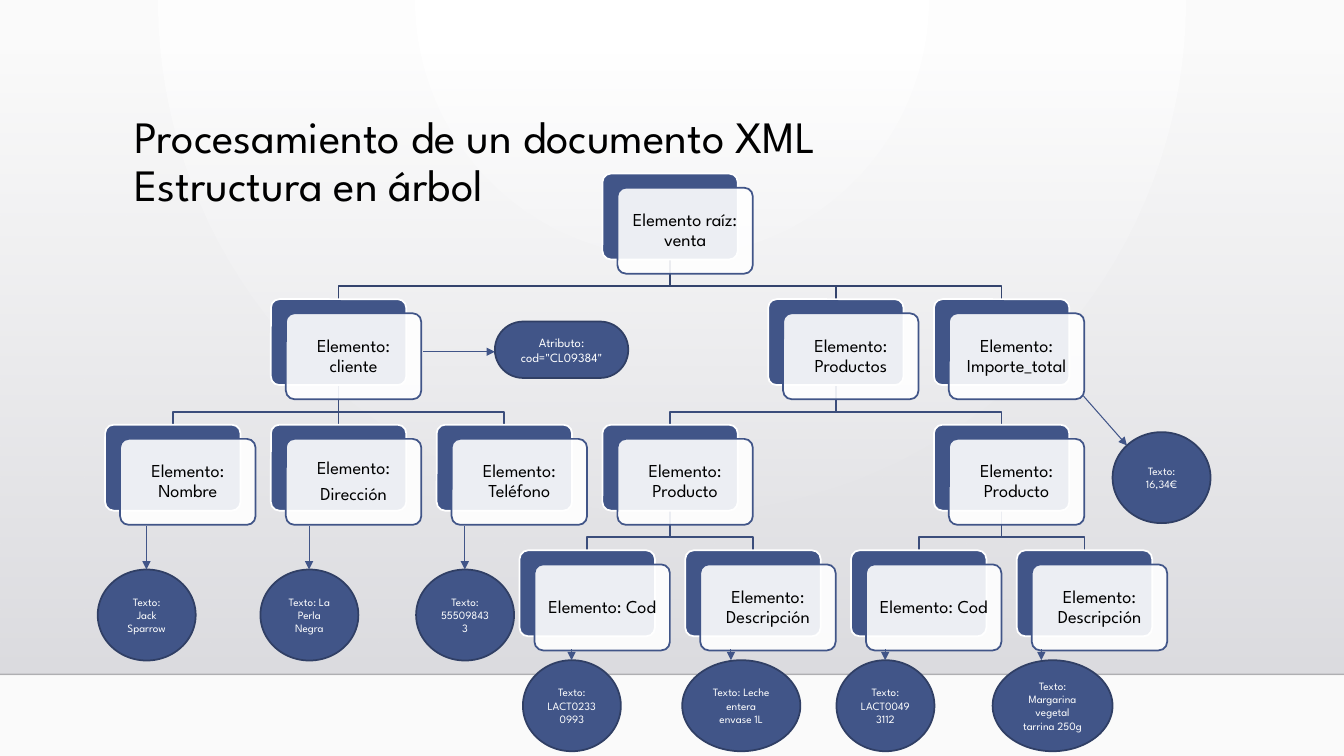
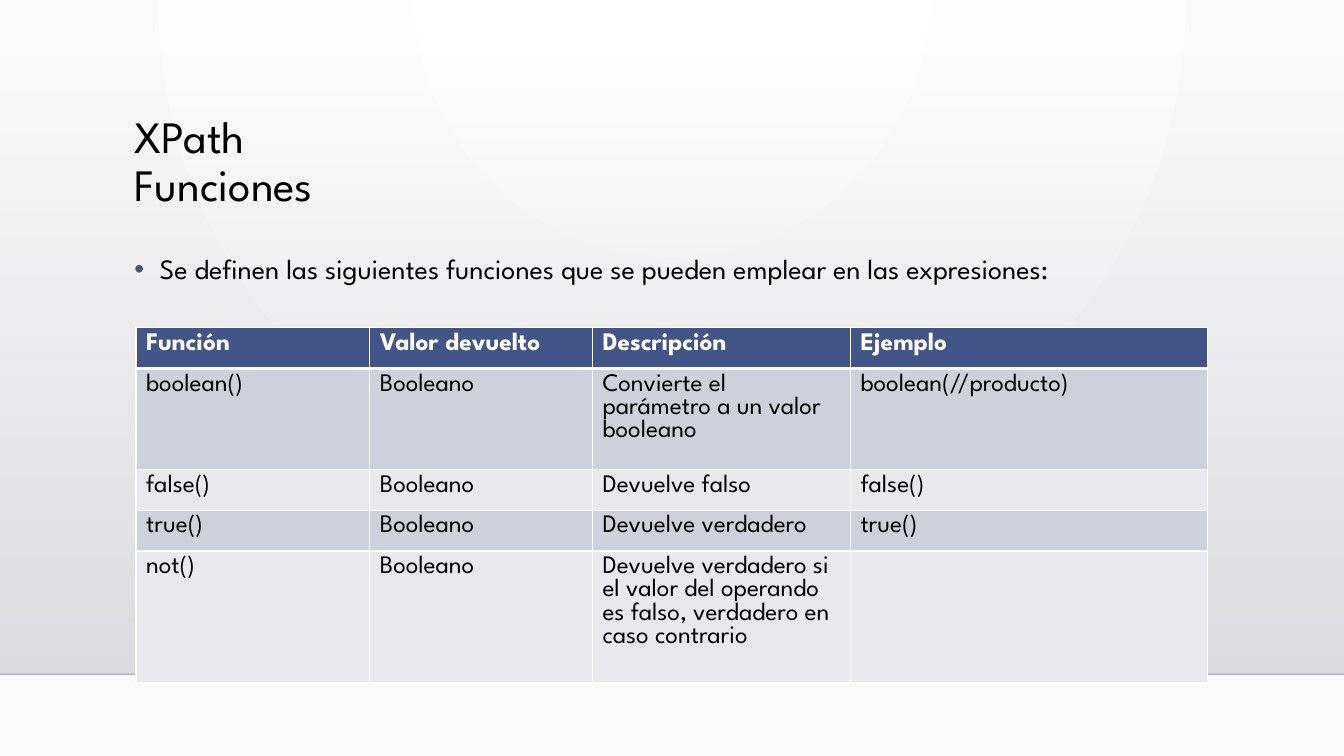
from lxml import etree
from pptx import Presentation
from pptx.dml.color import RGBColor
from pptx.enum.shapes import MSO_CONNECTOR, MSO_SHAPE
from pptx.enum.text import MSO_ANCHOR, PP_ALIGN
from pptx.oxml import parse_xml
from pptx.oxml.ns import nsdecls, qn
from pptx.util import Pt

RECTANGLE, ROUNDED, OVAL = MSO_SHAPE.RECTANGLE, MSO_SHAPE.ROUNDED_RECTANGLE, MSO_SHAPE.OVAL
STRAIGHT = MSO_CONNECTOR.STRAIGHT
MIDDLE, CENTER = MSO_ANCHOR.MIDDLE, PP_ALIGN.CENTER
FONT = "League Spartan"
COLORS = {
    "white": "FFFFFF", "black": "000000", "backdrop": "FAFAFA",
    "band_top": "DCDCE0", "band_bottom": "DEDEE2",
    "blue": "415588", "outline": "303F65", "root_link": "34446D", "link": "3B4D7B",
    "row_dark": "CFD1DA", "row_light": "E9E9ED",
}


def style(shape, line=None, width=1.25, fill=None, line_alpha=None, fill_alpha=None):
    """Set fill and line, and switch the shadow off."""
    properties = shape.element.spPr
    if fill:
        shape.fill.solid()
        shape.fill.fore_color.rgb = RGBColor.from_string(COLORS[fill])
    elif hasattr(shape, "fill"):
        shape.fill.background()
    if line:
        shape.line.color.rgb = RGBColor.from_string(COLORS[line])
        shape.line.width = Pt(width)
    else:
        shape.line.fill.background()
    for part, alpha in (("a:solidFill", fill_alpha), ("a:ln/a:solidFill", line_alpha)):
        if alpha:
            steps = "/".join(qn(step) for step in part.split("/"))
            color = properties.find(steps + "/" + qn("a:srgbClr"))
            etree.SubElement(color, qn("a:alpha")).set("val", str(alpha * 1000))
    etree.SubElement(properties, qn("a:effectLst"))


def write(frame, text, size, color="black", bold=False, align=None, spacing=None, after=None):
    """Fill a text frame: one paragraph per item, a line break at each newline."""
    frame.word_wrap = True
    for number, content in enumerate(text.split("|")):
        para = frame.add_paragraph() if number else frame.paragraphs[0]
        para.alignment, para.line_spacing = align, spacing
        if after:
            para.space_after = Pt(after)
        for index, line in enumerate(content.split("\n")):
            if index:
                para.add_line_break()
            span = para.add_run()
            span.text = line
            span.font.name, span.font.size, span.font.bold = FONT, Pt(size), bold
            span.font.color.rgb = RGBColor.from_string(COLORS[color])


deck = Presentation()
deck.slide_width, deck.slide_height = Pt(960), Pt(540)

# Shared background, on the master
master = deck.slide_master
master.background.fill.solid()
backdrop = master.element.find(".//" + qn("p:bgPr"))
backdrop.replace(backdrop[0], parse_xml(
    f'<a:gradFill {nsdecls("a")} rotWithShape="1"><a:gsLst>'
    f'<a:gs pos="0"><a:srgbClr val="{COLORS["white"]}"/></a:gs>'
    f'<a:gs pos="100000"><a:srgbClr val="{COLORS["backdrop"]}"/></a:gs></a:gsLst>'
    '<a:path path="circle"><a:fillToRect l="43000" r="43000" b="100000"/></a:path>'
    '</a:gradFill>'))

# Shared band, rule and title
pages = []
for title in ("Procesamiento de un documento XML\nEstructura en árbol", "XPath\nFunciones"):
    page = deck.slides.add_slide(deck.slide_layouts[6])
    band = page.shapes.add_shape(RECTANGLE, 0, Pt(36.7), Pt(960), Pt(445))
    style(band, fill="band_top")
    band.element.spPr.replace(band.element.spPr.find(qn("a:solidFill")), parse_xml(
        f'<a:gradFill {nsdecls("a")} rotWithShape="1"><a:gsLst>'
        f'<a:gs pos="0"><a:srgbClr val="{COLORS["band_top"]}"><a:alpha val="0"/></a:srgbClr></a:gs>'
        f'<a:gs pos="100000"><a:srgbClr val="{COLORS["band_bottom"]}"/></a:gs></a:gsLst>'
        '<a:lin ang="5400000" scaled="0"/></a:gradFill>'))
    rule = page.shapes.add_connector(STRAIGHT, 0, Pt(481.7), Pt(960), Pt(481.7))
    style(rule, "black", 1, line_alpha=20)
    box = page.shapes.add_textbox(Pt(89), Pt(75), Pt(756), Pt(83))
    box.text_frame.vertical_anchor = MIDDLE
    write(box.text_frame, title, 32, spacing=0.9)
    pages.append(page)
tree_page, functions_page = pages

# Tree: nodes as (column, level, text), links as parent to children
NODE_WIDTH, NODE_HEIGHT = 96.7, 61.4
SHIFT_X, SHIFT_Y = 10.7, 10.1
LEFT, TOP, COLUMN_STEP, LEVEL_STEP = 75.1, 124, 59.2, 89.7
nodes = {
    "venta": (6, 0, "Elemento raíz: venta"),
    "cliente": (2, 1, "Elemento: cliente"),
    "nombre": (0, 2, "Elemento: Nombre"),
    "direccion": (2, 2, "Elemento:|Dirección"),
    "telefono": (4, 2, "Elemento: Teléfono"),
    "productos": (8, 1, "Elemento: Productos"),
    "leche": (6, 2, "Elemento: Producto"),
    "leche_cod": (5, 3, "Elemento: Cod"),
    "leche_desc": (7, 3, "Elemento: Descripción"),
    "margarina": (10, 2, "Elemento: Producto"),
    "margarina_cod": (9, 3, "Elemento: Cod"),
    "margarina_desc": (11, 3, "Elemento: Descripción"),
    "importe": (10, 1, "Elemento: Importe_total"),
}
children = {
    "venta": ("cliente", "productos", "importe"),
    "cliente": ("nombre", "direccion", "telefono"),
    "productos": ("leche", "margarina"),
    "leche": ("leche_cod", "leche_desc"),
    "margarina": ("margarina_cod", "margarina_desc"),
}

# Tree links
for parent, kids in children.items():
    column, level, _ = nodes[parent]
    center = Pt(LEFT + column * COLUMN_STEP + NODE_WIDTH / 2)
    bottom = TOP + level * LEVEL_STEP + NODE_HEIGHT
    builder = page_builder = tree_page.shapes.build_freeform(center, Pt(bottom), scale=1.0)
    for index, kid in enumerate(kids):
        if index:
            builder.move_to(center, Pt(bottom))
        kid_center = Pt(LEFT + nodes[kid][0] * COLUMN_STEP + NODE_WIDTH / 2)
        builder.add_line_segments([
            (center, Pt(bottom + 19)), (kid_center, Pt(bottom + 19)),
            (kid_center, Pt(TOP + (level + 1) * LEVEL_STEP))], close=False)
    style(builder.convert_to_shape(), "link" if level else "root_link")

# Tree nodes: a blue card behind a translucent white one
for column, level, text in nodes.values():
    x, y = LEFT + column * COLUMN_STEP, TOP + level * LEVEL_STEP
    for shift, line, fill, alpha in ((0, "white", "blue", None), (1, "blue", "white", 90)):
        card = tree_page.shapes.add_shape(
            ROUNDED, Pt(x + shift * SHIFT_X), Pt(y + shift * SHIFT_Y),
            Pt(NODE_WIDTH), Pt(NODE_HEIGHT))
        card.adjustments[0] = 0.1
        style(card, line, fill=fill, fill_alpha=alpha)
    frame = card.text_frame
    frame.margin_left = frame.margin_right = frame.margin_top = frame.margin_bottom = Pt(5.4)
    write(frame, text, 13, align=CENTER, spacing=0.9, after=4.5)

# Values: left, top, width, height, text, size, shape, arrow start and end
values = [
    (x, 406.8, 70, 65, text, 8, OVAL, (x + 34.8, 375.8), (x + 34.8, 406.8))
    for x, text in ((69.8, "Texto: Jack Sparrow"), (186, "Texto: La Perla Negra"),
                    (297.2, "Texto: 555098433"))
] + [
    (x, 471.6, width, 65, text, 8, OVAL, (x + 34.8, 463.7), (x + 34.8, 471.6))
    for x, width, text in ((373.5, 70, "Texto: LACT02330993"),
                           (487.3, 84.4, "Texto: Leche entera envase 1L"),
                           (597.5, 70, "Texto: LACT00493112"),
                           (709, 85.7, "Texto: Margarina vegetal tarrina 250g"))
] + [
    (794.7, 308.7, 70, 65, "Texto: 16,34€", 8, OVAL, (774, 283), (805, 318.2)),
    (353.5, 229.7, 95.3, 40.3, 'Atributo: cod="CL09384"', 9, ROUNDED, (302.5, 251.3), (353.5, 251.3)),
]
for left, top, width, height, text, size, kind, start, end in values:
    bubble = tree_page.shapes.add_shape(kind, Pt(left), Pt(top), Pt(width), Pt(height))
    if kind == ROUNDED:
        bubble.adjustments[0] = 0.5
    style(bubble, "outline", fill="blue")
    write(bubble.text_frame, text, size, "white", align=CENTER)
    arrow = tree_page.shapes.add_connector(STRAIGHT, *(Pt(length) for length in start + end))
    style(arrow, "blue", 0.75)
    etree.SubElement(arrow.line._get_or_add_ln(), qn("a:tailEnd")).set("type", "triangle")

# Introductory bullet
intro = functions_page.shapes.add_textbox(Pt(89), Pt(171.5), Pt(756), Pt(50))
write(intro.text_frame, "Se definen las siguientes funciones que se pueden emplear en las expresiones:",
      20, spacing=1.2)
para = intro.text_frame.paragraphs[0]
para.space_before = Pt(10)
bullet = para._p.get_or_add_pPr()
bullet.set("marL", str(Pt(18)))
bullet.set("indent", str(-Pt(18)))
color = etree.SubElement(etree.SubElement(bullet, qn("a:buClr")), qn("a:srgbClr"))
color.set("val", COLORS["blue"])
etree.SubElement(bullet, qn("a:buFont")).set("typeface", "Arial")
etree.SubElement(bullet, qn("a:buChar")).set("char", "•")

# Table of functions
rows = [
    ("Función", "Valor devuelto", "Descripción", "Ejemplo"),
    ("boolean()", "Booleano", "Convierte el parámetro a un valor booleano", "boolean(//producto)"),
    ("false()", "Booleano", "Devuelve falso", "false()"),
    ("true()", "Booleano", "Devuelve verdadero", "true()"),
    ("not()", "Booleano",
     "Devuelve verdadero si el valor del operando es falso, verdadero en caso contrario", ""),
]
widths = (167, 159, 184.3, 255)
table = functions_page.shapes.add_table(
    len(rows), len(widths), Pt(97.2), Pt(234), Pt(sum(widths)), Pt(29.2 * len(rows))).table
for column, width in zip(table.columns, widths):
    column.width = Pt(width)
for r, texts in enumerate(rows):
    table.rows[r].height = Pt(29.2)
    fill = ("row_dark" if r % 2 else "row_light") if r else "blue"
    for c, text in enumerate(texts):
        cell = table.cell(r, c)
        cell.fill.solid()
        cell.fill.fore_color.rgb = RGBColor.from_string(COLORS[fill])
        if text:
            write(cell.text_frame, text, 18, "black" if r else "white", bold=not r)
        for index, side in enumerate(("lnL", "lnR", "lnT", "lnB")):
            thick = (r, side) in ((0, "lnB"), (1, "lnT"))
            cell._tc.get_or_add_tcPr().insert(index, parse_xml(
                f'<a:{side} {nsdecls("a")} w="{Pt(3 if thick else 1)}"><a:solidFill>'
                f'<a:srgbClr val="{COLORS["white"]}"/></a:solidFill></a:{side}>'))

deck.save("out.pptx")
